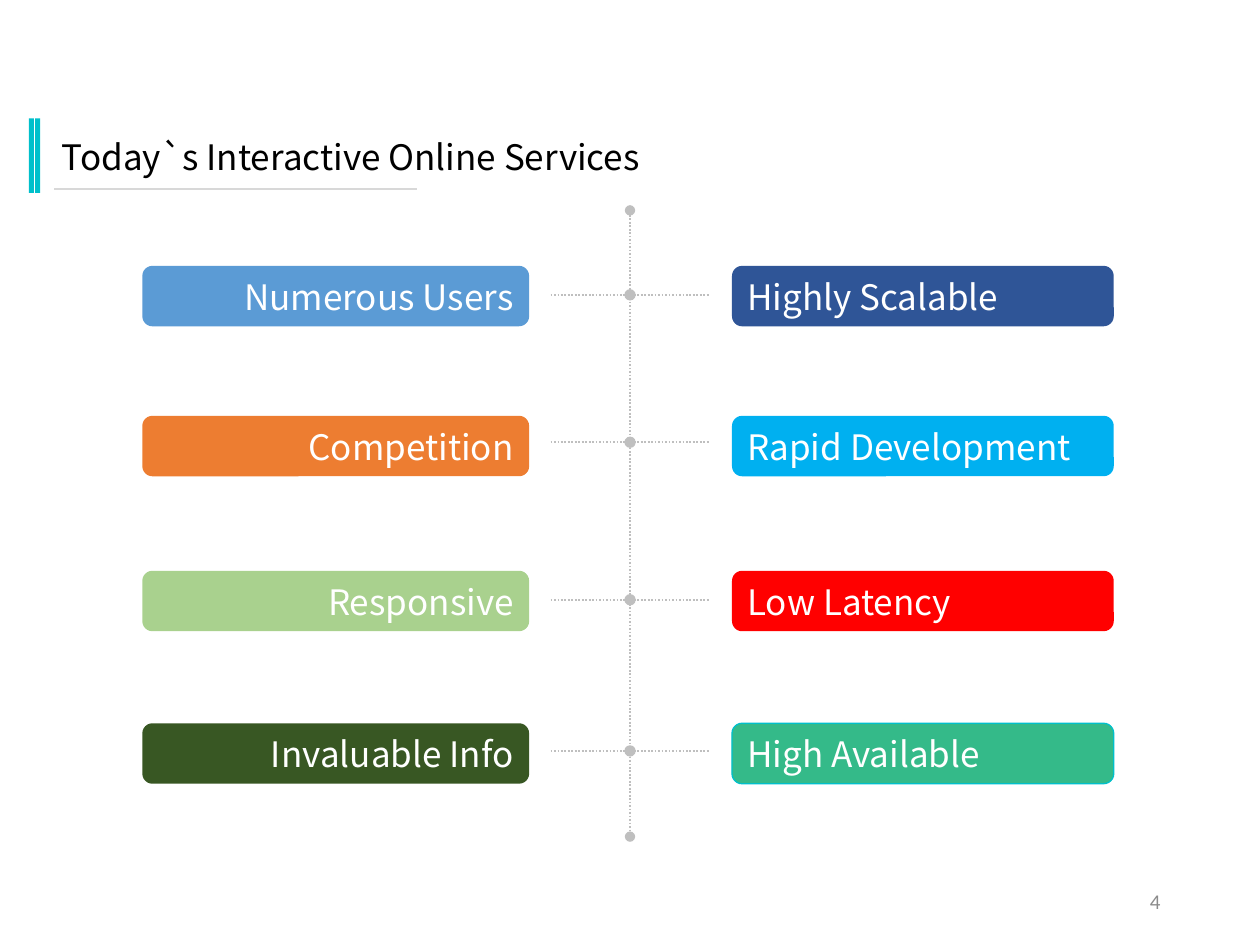
from lxml import etree
from pptx import Presentation
from pptx.dml.color import RGBColor
from pptx.enum import dml, shapes, text
from pptx.oxml import ns
from pptx.util import Inches, Pt

FONT = "Noto Sans CJK SC"
GREY = "BFBFBF"
TEAL = "00C0CB"
AXIS_X = 5
BAR_HEIGHT = 0.48
DOT_SIZE = 0.09
ROWS = [
    (2.11, 2.34, ("Numerous Users", "5B9BD5"), ("Highly Scalable", "2F5597")),
    (3.3, 3.51, ("Competition", "ED7D31"), ("Rapid Development", "00B0F0")),
    (4.53, 4.76, ("Responsive", "A9D18E"), ("Low Latency", "FF0000")),
    (5.74, 5.96, ("Invaluable Info", "385723"), ("High Available", "34BA89")),
]


def colour(value):
    """Turn a hex string into a colour."""
    return RGBColor.from_string(value)


def write(box, words, size, tint, align, font=FONT):
    """Put one formatted line of text in a shape."""
    frame = box.text_frame
    frame.text = words
    frame.word_wrap = True
    frame.auto_size = text.MSO_AUTO_SIZE.NONE
    frame.vertical_anchor = text.MSO_ANCHOR.MIDDLE
    para = frame.paragraphs[0]
    para.alignment = align
    span = para.runs[0]
    span.font.size = Pt(size)
    span.font.name = font
    span.font.color.rgb = colour(tint)


def add_block(page, kind, left, top, width, height, fill):
    """Add a filled shape without outline or shadow."""
    block = page.shapes.add_shape(
        kind, Inches(left), Inches(top), Inches(width), Inches(height)
    )
    block.shadow.inherit = False
    block.fill.solid()
    block.fill.fore_color.rgb = colour(fill)
    block.line.fill.background()
    return block


def add_line(page, start, end, tint, width, dotted=False, ends=None):
    """Add a straight line, optionally dotted and with end marks."""
    line = page.shapes.add_connector(
        shapes.MSO_CONNECTOR.STRAIGHT, *(Inches(value) for value in start + end)
    )
    line.line.color.rgb = colour(tint)
    line.line.width = Pt(width)
    if dotted:
        line.line.dash_style = dml.MSO_LINE.ROUND_DOT
    if ends:
        outline = line.line._get_or_add_ln()
        for tag in ("a:headEnd", "a:tailEnd"):
            etree.SubElement(outline, ns.qn(tag), type=ends)
    etree.SubElement(line._element.spPr, ns.qn("a:effectLst"))


def add_heading(page, words):
    """Place the title with its double bar and underline."""
    title = page.shapes.title
    title.left, title.top = Inches(0.39), Inches(1.02)
    title.width, title.height = Inches(9.22), Inches(0.44)
    write(title, words, 20, "000000", text.PP_ALIGN.LEFT)
    for left in (0.23, 0.28):
        add_block(page, shapes.MSO_SHAPE.RECTANGLE, left, 0.94, 0.04, 0.59, TEAL)
    add_line(page, (0.43, 1.5), (3.31, 1.5), "D8D8D8", 0.75)


def add_branch(page, y):
    """Add a dotted crossbar with a dot on the axis."""
    add_line(page, (AXIS_X - 0.63, y), (AXIS_X + 0.63, y), GREY, 1, dotted=True)
    add_block(page, shapes.MSO_SHAPE.OVAL, AXIS_X - DOT_SIZE / 2,
              y - DOT_SIZE / 2, DOT_SIZE, DOT_SIZE, GREY)


def add_bar(page, left, top, width, label, align):
    """Add a rounded bar holding a label."""
    words, fill = label
    bar = add_block(page, shapes.MSO_SHAPE.ROUNDED_RECTANGLE,
                    left, top, width, BAR_HEIGHT, fill)
    write(bar, words, 20, "FFFFFF", align)
    return bar


def add_page_number(page, number):
    """Add the page number at the lower right."""
    box = page.shapes.add_textbox(Inches(7.06), Inches(6.95), Inches(2.25), Inches(0.4))
    write(box, number, 12, "8C8C8C", text.PP_ALIGN.RIGHT, "Calibri")


def main():
    """Build and save the slide."""
    deck = Presentation()
    deck.slide_width, deck.slide_height = Inches(10), Inches(7.5)
    page = deck.slides.add_slide(deck.slide_layouts.get_by_name("Title Only"))
    add_heading(page, "Today`s Interactive Online Services")
    add_line(page, (AXIS_X, 1.67), (AXIS_X, 6.64), GREY, 1, dotted=True, ends="oval")
    for top, y, cause, need in ROWS:
        add_branch(page, y)
        add_bar(page, 1.13, top, 3.07, cause, text.PP_ALIGN.RIGHT)
        last = add_bar(page, 5.81, top, 3.03, need, text.PP_ALIGN.LEFT)
    last.line.color.rgb = colour(TEAL)
    last.line.width = Pt(0.75)
    add_page_number(page, "4")
    deck.save("out.pptx")


if __name__ == "__main__":
    main()
